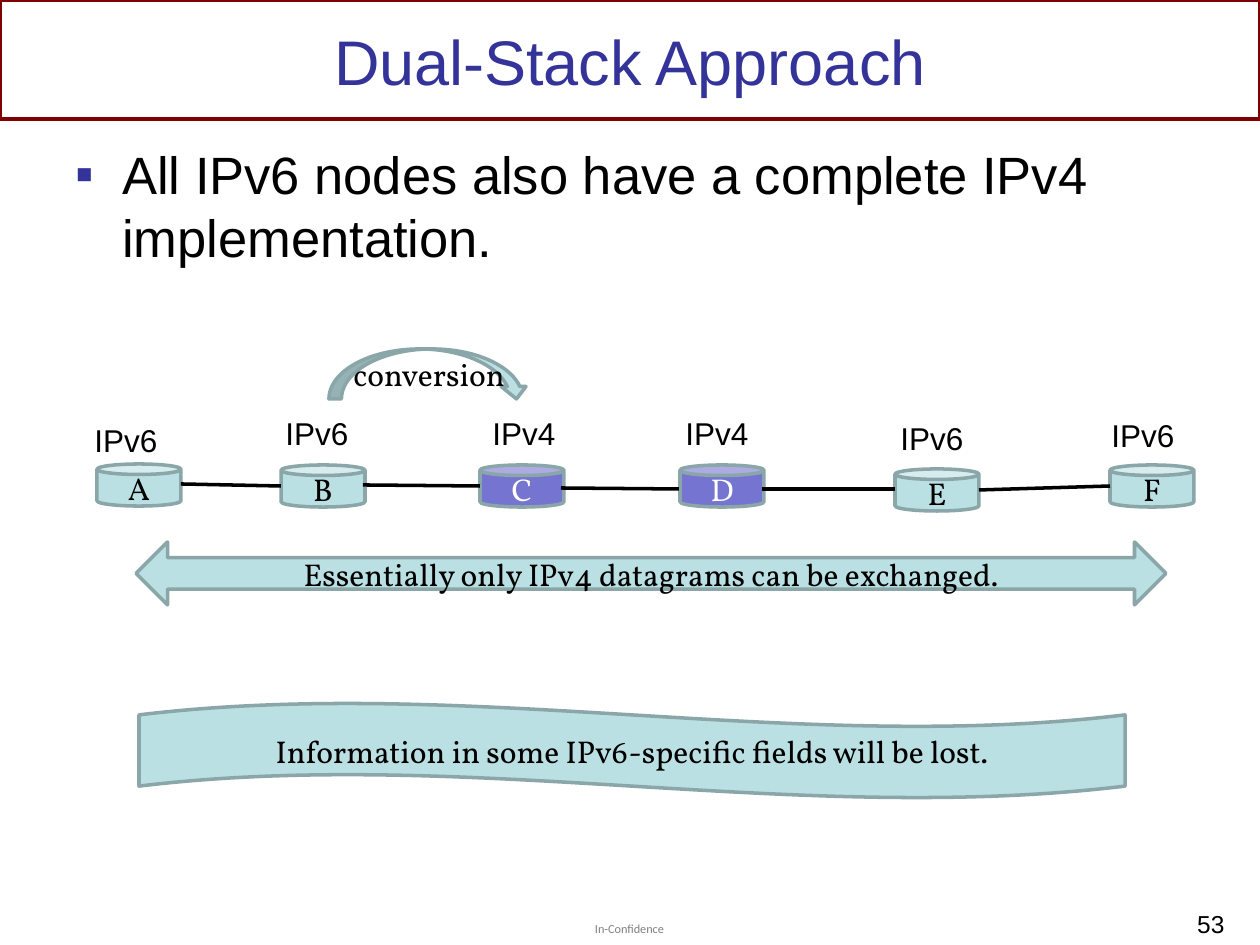
from lxml import etree
from pptx import Presentation
from pptx.dml.color import RGBColor
from pptx.enum.shapes import MSO_CONNECTOR as Connector, MSO_SHAPE as Shape
from pptx.enum.text import MSO_ANCHOR as Anchor, PP_ALIGN as Align
from pptx.oxml.ns import qn
from pptx.util import Pt

EMU_PER_PX = 914400 / 126
COLORS = {
    "title": "333399", "frame": "800000", "text": "000000", "footer": "7F7F7F",
    "light": "BBE0E3", "outline": "8AA6A8", "ipv4": "7575D1", "white": "FFFFFF",
}
NODE_WIDTH, NODE_HEIGHT = 84, 42
LABEL_WIDTH, LABEL_HEIGHT = 98, 50

# name, protocol, node left and top, label left and top
NODES = [
    ("A", "IPv6", 97, 464, 82, 415),
    ("B", "IPv6", 281, 465, 273, 408),
    ("C", "IPv4", 480, 465, 480, 408),
    ("D", "IPv4", 680, 465, 673, 408),
    ("E", "IPv6", 895, 469, 888, 413),
    ("F", "IPv6", 1110, 465, 1099, 410),
]
LINKS = [
    (181, 484, 281, 486),
    (363, 485, 480, 486),
    (561, 488, 679, 489),
    (762, 489, 895, 489),
    (979, 490, 1110, 486),
]


def px(*lengths):
    return [round(length * EMU_PER_PX) for length in lengths]


def color(name):
    return RGBColor.from_string(COLORS[name])


def write(box, text, size=18, font="Arial", ink="text", align=Align.LEFT,
          anchor=Anchor.TOP, wrap=True, inset=None, bullet=None):
    frame = box.text_frame
    frame.word_wrap = wrap
    frame.vertical_anchor = anchor
    if inset is not None:
        frame.margin_left = frame.margin_right = inset
        frame.margin_top = frame.margin_bottom = inset
    para = frame.paragraphs[0]
    para.alignment = align
    if bullet:
        add_bullet(para, bullet)
    span = para.add_run()
    span.text = text
    span.font.size = Pt(size)
    span.font.name = font
    span.font.color.rgb = color(ink)


def add_bullet(para, mark, indent=47):
    props = para._p.get_or_add_pPr()
    hang, = px(indent)
    props.set("marL", str(hang))
    props.set("indent", str(-hang))
    tint = etree.SubElement(props, qn("a:buClr"))
    etree.SubElement(tint, qn("a:srgbClr"), val=COLORS["title"])
    etree.SubElement(props, qn("a:buFont"), typeface="Arial")
    etree.SubElement(props, qn("a:buChar"), char=mark)


def add_text(page, text, left, top, width, height, **text_format):
    box = page.shapes.add_textbox(*px(left, top, width, height))
    write(box, text, **text_format)


def add_figure(page, kind, left, top, width, height, fill="light",
               line="outline", text=None, ink="text"):
    figure = page.shapes.add_shape(kind, *px(left, top, width, height))
    figure.shadow.inherit = False
    if fill:
        figure.fill.solid()
        figure.fill.fore_color.rgb = color(fill)
    else:
        figure.fill.background()
    figure.line.color.rgb = color(line)
    figure.line.width = Pt(2)
    if text:
        write(figure, text, font="Vollkorn", ink=ink, align=Align.CENTER,
              anchor=Anchor.MIDDLE)


def add_node(page, name, protocol, left, top):
    fill, ink = ("ipv4", "white") if protocol == "IPv4" else ("light", "text")
    add_figure(page, Shape.CAN, left, top, NODE_WIDTH, NODE_HEIGHT,
               fill=fill, text=name, ink=ink)


def add_link(page, *ends):
    link = page.shapes.add_connector(Connector.STRAIGHT, *px(*ends))
    link.line.color.rgb = color("text")
    link.line.width = Pt(2)
    etree.SubElement(link._element.spPr, qn("a:effectLst"))


def main():
    deck = Presentation()
    deck.slide_width, deck.slide_height = px(1260, 945)
    page = deck.slides.add_slide(deck.slide_layouts[6])

    # Title frame, footer and page number
    add_figure(page, Shape.RECTANGLE, 0, 0, 1260, 119, fill=None, line="frame")
    add_text(page, "In-Confidence", 595, 921, 72, 15, size=7, font="Calibri",
             ink="footer", inset=0, wrap=False)
    add_text(page, "Dual-Stack Approach", 63, 10, 1134, 100, size=36,
             ink="title", align=Align.CENTER, anchor=Anchor.MIDDLE)
    add_text(page, "53", 960, 903, 277, 38, size=14, align=Align.RIGHT)

    # Statement
    add_text(page, "All IPv6 nodes also have a complete IPv4 implementation.",
             63, 136, 1134, 137, size=30, bullet="▪")

    # Chain of nodes
    for name, protocol, left, top, label_left, label_top in NODES:
        add_node(page, name, protocol, left, top)
        add_text(page, protocol, label_left, label_top, LABEL_WIDTH,
                 LABEL_HEIGHT, wrap=False)
    for ends in LINKS:
        add_link(page, *ends)

    # Remarks on the exchange
    add_figure(page, Shape.LEFT_RIGHT_ARROW, 136, 542, 1030, 63,
               text="Essentially only IPv4 datagrams can be exchanged.")
    add_figure(page, Shape.WAVE, 139, 703, 986, 95,
               text="Information in some IPv6-specific fields will be lost.")
    add_figure(page, Shape.CURVED_DOWN_ARROW, 329, 349, 200, 50,
               text="conversion")

    deck.save("out.pptx")


if __name__ == "__main__":
    main()
